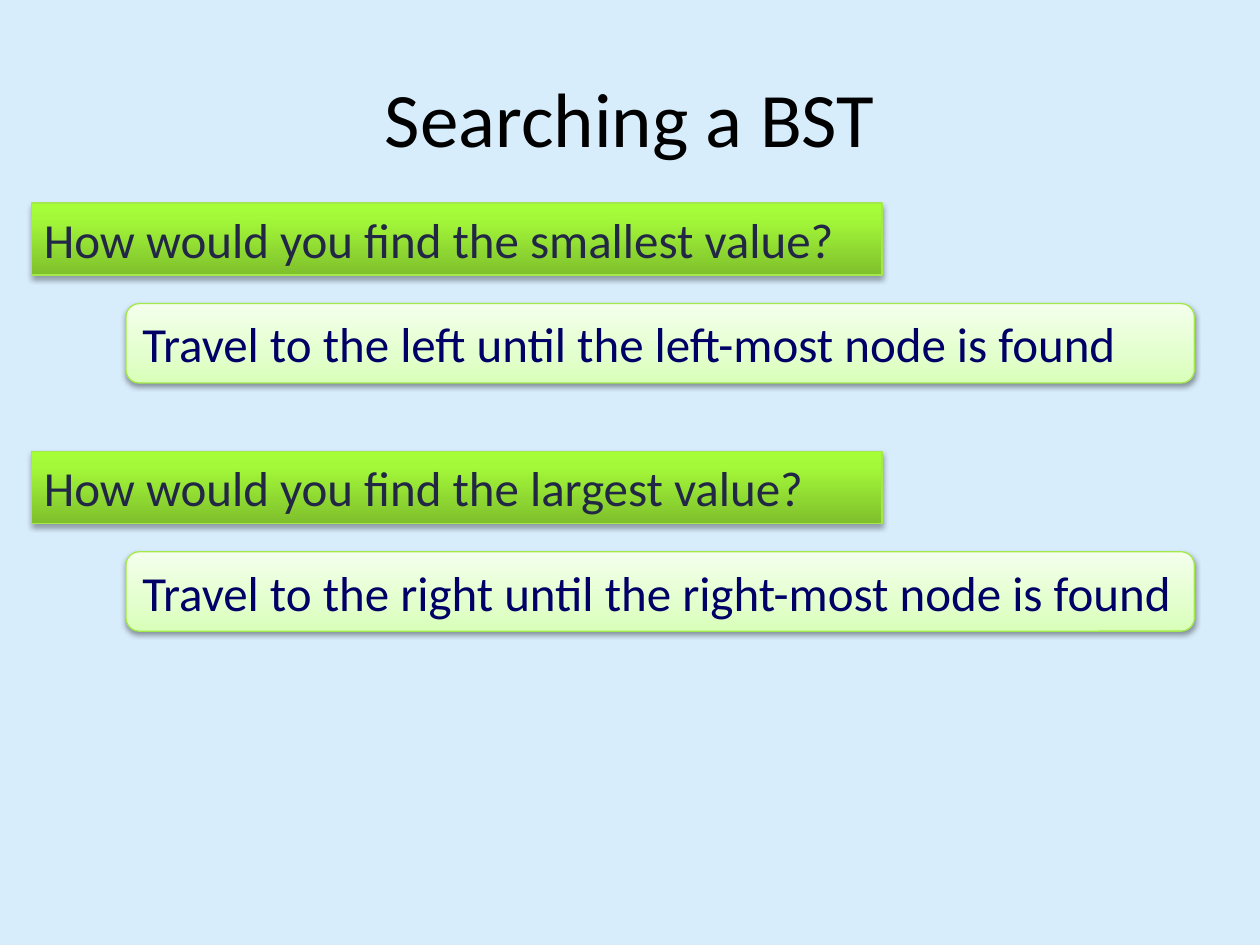
from lxml import etree
from pptx import Presentation
from pptx.dml.color import RGBColor
from pptx.enum import shapes, text
from pptx.oxml.ns import qn
from pptx.util import Pt

COLORS = {
    "background": "D8EDFC",
    "title": "000000",
    "question": "212745",
    "answer": "000066",
    "outline": "A4E94C",
    "shadow": "000000",
}
QUESTION_STOPS = [(0, "7FC02C"), (80, "A4F939"), (100, "A6FE36")]
ANSWER_STOPS = [(0, "D8FFB8"), (35, "E3FFCD"), (100, "F4FFEC")]

PAIRS = [
    ("How would you find the smallest value?",
     "Travel to the left until the left-most node is found", True),
    ("How would you find the largest value?",
     "Travel to the right until the right-most node is found", False),
]
FIRST_TOP = 116
PAIR_STEP = 141.8
ANSWER_OFFSET = 57.5


def add_color(parent, tag, color):
    """Append an element holding one sRGB colour and return both."""
    element = etree.SubElement(parent, qn(tag))
    value = etree.SubElement(element, qn("a:srgbClr"), val=color)
    return element, value


class SlideBuilder:
    font = "Calibri"
    title_size = 44
    text_size = 28

    def __init__(self, page):
        self.page = page
        fill = page.background.fill
        fill.solid()
        fill.fore_color.rgb = RGBColor.from_string(COLORS["background"])

    def style_text(self, frame, size, color, align):
        paragraph = frame.paragraphs[0]
        paragraph.alignment = align
        for span in paragraph.runs:
            span.font.name = self.font
            span.font.size = Pt(size)
            span.font.color.rgb = RGBColor.from_string(COLORS[color])

    def title(self, words):
        box = self.page.shapes.title
        box.left, box.top, box.width, box.height = Pt(36), Pt(21.6), Pt(648), Pt(90)
        frame = box.text_frame
        frame.text = words
        frame.vertical_anchor = text.MSO_ANCHOR.MIDDLE
        self.style_text(frame, self.title_size, "title", text.PP_ALIGN.CENTER)

    def gradient(self, box, stops):
        """Fill from bottom to top with the given (percent, colour) stops."""
        box.fill.gradient()
        box.fill.gradient_angle = 90
        stop_list = box.fill._fill._gradFill.find(qn("a:gsLst"))
        for stop in list(stop_list):
            stop_list.remove(stop)
        for percent, color in stops:
            stop, _ = add_color(stop_list, "a:gs", color)
            stop.set("pos", str(percent * 1000))

    def drop_shadow(self, box, distance, opacity):
        box.shadow.inherit = False
        effects = box._element.spPr.find(qn("a:effectLst"))
        shadow, color = add_color(effects, "a:outerShdw", COLORS["shadow"])
        shadow.set("blurRad", str(Pt(3.1)))
        shadow.set("dist", str(Pt(distance)))
        shadow.set("dir", "5400000")
        shadow.set("rotWithShape", "0")
        etree.SubElement(color, qn("a:alpha"), val=str(opacity * 1000))

    def panel(self, kind, place, words, color, stops, shadow, anchor, wrap=True):
        box = self.page.shapes.add_shape(kind, *(Pt(length) for length in place))
        self.gradient(box, stops)
        box.line.color.rgb = RGBColor.from_string(COLORS["outline"])
        box.line.width = Pt(0.75)
        self.drop_shadow(box, *shadow)
        frame = box.text_frame
        frame.text = words
        frame.word_wrap = wrap
        frame.auto_size = text.MSO_AUTO_SIZE.SHAPE_TO_FIT_TEXT
        frame.vertical_anchor = anchor
        self.style_text(frame, self.text_size, color, text.PP_ALIGN.LEFT)

    def question(self, top, words):
        self.panel(shapes.MSO_SHAPE.RECTANGLE, (18, top, 486, 41.2), words,
                   "question", QUESTION_STOPS, (1.8, 35), text.MSO_ANCHOR.TOP)

    def answer(self, top, words, wrap):
        self.panel(shapes.MSO_SHAPE.ROUNDED_RECTANGLE, (72, top, 610.5, 45.4), words,
                   "answer", ANSWER_STOPS, (1.6, 38), text.MSO_ANCHOR.MIDDLE, wrap)


def main():
    deck = Presentation()
    deck.slide_width, deck.slide_height = Pt(720), Pt(540)
    builder = SlideBuilder(deck.slides.add_slide(deck.slide_layouts[5]))
    builder.title("Searching a BST")
    for index, (question, answer, wrap) in enumerate(PAIRS):
        top = FIRST_TOP + index * PAIR_STEP
        builder.question(top, question)
        builder.answer(top + ANSWER_OFFSET, answer, wrap)
    deck.save("out.pptx")


if __name__ == "__main__":
    main()
